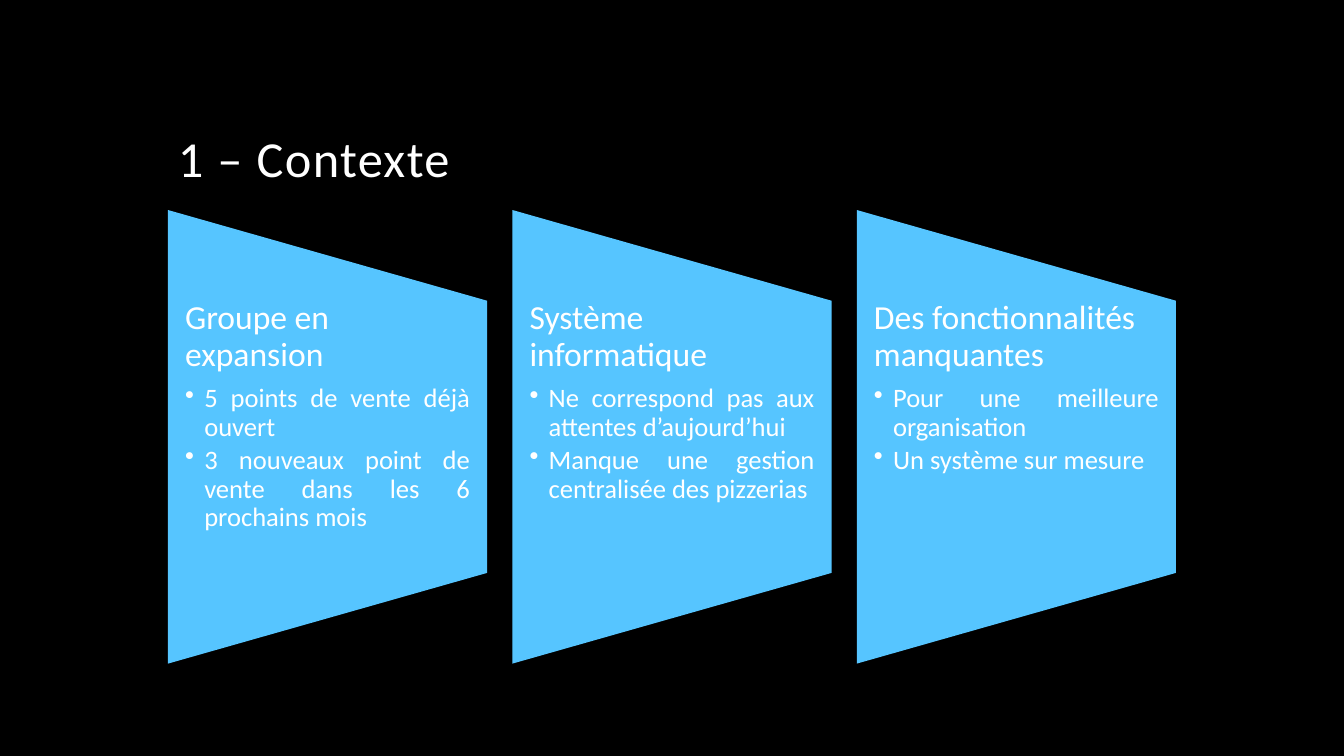
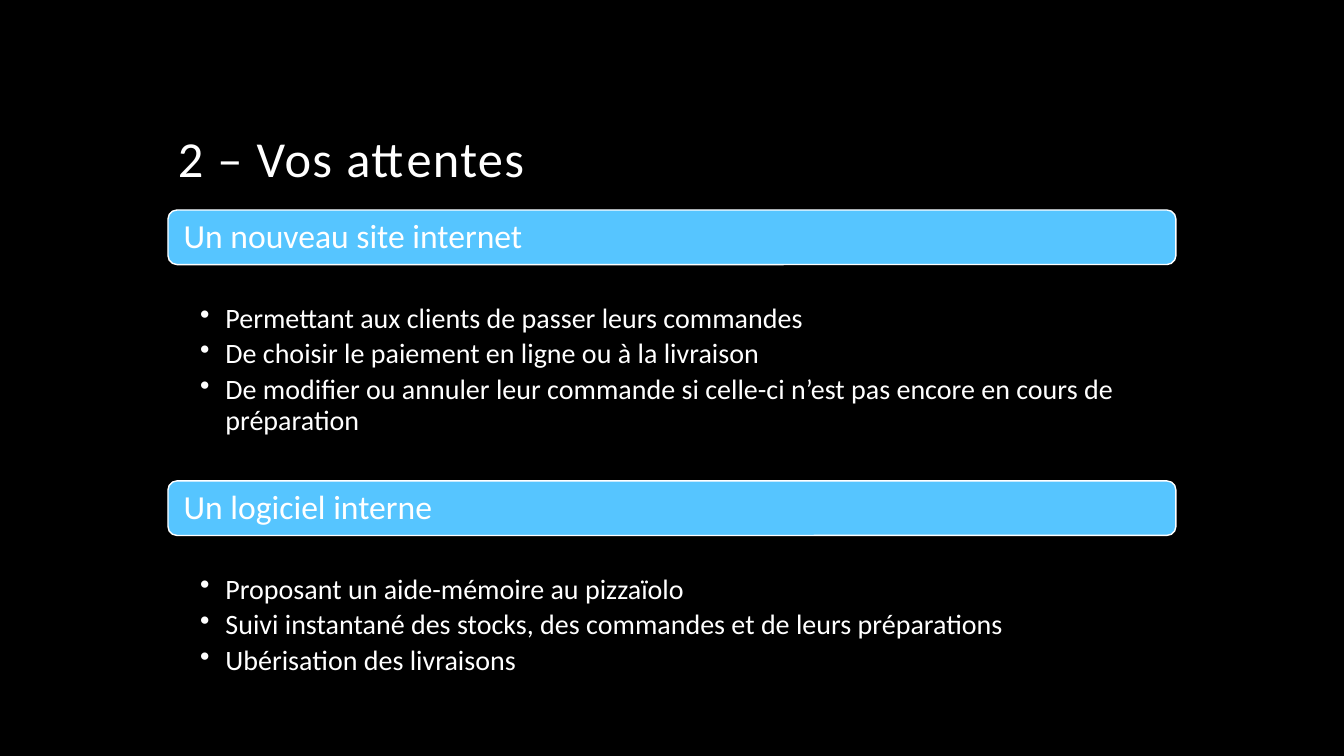
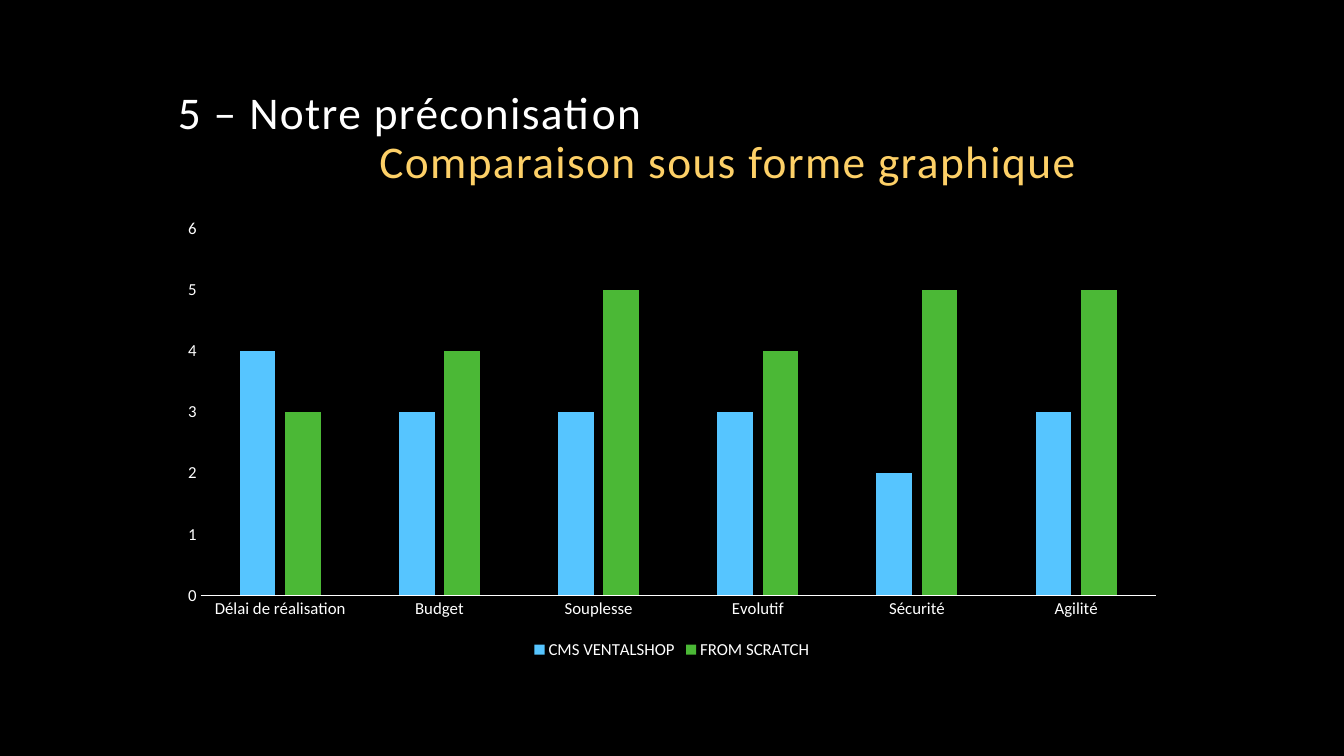
import pptx
import pptx.chart.data
import pptx.dml.color
import pptx.enum.chart
import pptx.enum.shapes
import pptx.enum.text
import pptx.oxml.ns
import pptx.util
from lxml import etree

FONT = "Calibri"
BLACK, WHITE, BLUE, GREEN, YELLOW = "000000", "FFFFFF", "56C5FF", "4BB836", "FDD067"
SLIDE_COLUMNS, SLIDE_ROWS = 160, 90
LEFT, WIDTH = 20, 120
TITLE_TOP, TITLE_HEIGHT = 5, 18
BODY_TOP, BODY_HEIGHT = 25, 54
ALIGN = pptx.enum.text.PP_ALIGN
ANCHOR = pptx.enum.text.MSO_ANCHOR
SHAPE = pptx.enum.shapes.MSO_SHAPE


def units(count):
    """Return the length of a number of grid units, twelve to the inch."""
    return pptx.util.Inches(count / 12)


def box(column, row, columns, rows):
    """Return left, top, width and height of a block of the grid."""
    return [units(count) for count in (column, row, columns, rows)]


def color(value):
    """Return a colour from a hex string."""
    return pptx.dml.color.RGBColor.from_string(value)


def style_font(font, size, value=WHITE):
    """Set typeface, size and colour of a font."""
    font.name = FONT
    font.size = pptx.util.Pt(size)
    font.color.rgb = color(value)


def add_slide(presentation):
    """Add a blank slide with a black background."""
    slide = presentation.slides.add_slide(presentation.slide_layouts[6])
    slide.background.fill.solid()
    slide.background.fill.fore_color.rgb = color(BLACK)
    return slide


def set_frame(shape, insets, anchor=ANCHOR.TOP):
    """Prepare a wrapping text frame with insets in inches."""
    frame = shape.text_frame
    frame.word_wrap = True
    frame.vertical_anchor = anchor
    (frame.margin_left, frame.margin_top,
     frame.margin_right, frame.margin_bottom) = map(pptx.util.Inches, insets)
    return frame


def write(paragraph, text, size, value=WHITE, after=0, align=ALIGN.LEFT):
    """Fill a paragraph and format its runs."""
    paragraph.text = text
    paragraph.alignment = align
    paragraph.line_spacing = 0.9
    paragraph.space_after = pptx.util.Pt(after)
    for run in paragraph.runs:
        style_font(run.font, size, value)


def indent(paragraph, left, first=0):
    """Indent a paragraph by lengths in inches."""
    properties = paragraph._p.get_or_add_pPr()
    properties.set("marL", str(pptx.util.Inches(left)))
    properties.set("indent", str(pptx.util.Inches(first)))
    return properties


def add_bullet(paragraph, hanging):
    """Give a paragraph a bullet with a hanging indent."""
    properties = indent(paragraph, hanging, -hanging)
    bullet = etree.SubElement(properties, pptx.oxml.ns.qn("a:buChar"))
    bullet.set("char", "•")


def add_title(slide, lines, size=36):
    """Add the title, whose further lines are yellow and indented."""
    textbox = slide.shapes.add_textbox(*box(LEFT, TITLE_TOP, WIDTH, TITLE_HEIGHT))
    frame = set_frame(textbox, (0.1, 0.05, 0.1, 0.05), ANCHOR.BOTTOM)
    for index, line in enumerate(lines):
        paragraph = frame.add_paragraph() if index else frame.paragraphs[0]
        write(paragraph, line, size, YELLOW if index else WHITE)
        if index:
            indent(paragraph, 2)
        for run in paragraph.runs:
            run.font._element.set("spc", "100")


def add_block(slide, kind, bounds, line=None):
    """Add a blue preset shape."""
    shape = slide.shapes.add_shape(kind, *bounds)
    shape.shadow.inherit = False
    shape.fill.solid()
    shape.fill.fore_color.rgb = color(BLUE)
    if line:
        shape.line.color.rgb = color(line)
        shape.line.width = pptx.util.Pt(1)
    else:
        shape.line.fill.background()
    return shape


def add_trapezoid(slide, column, width, heading, bullets):
    """Add a trapezoid lying on its side with a heading and bullets."""
    bounds = box(column + (width - BODY_HEIGHT) / 2, BODY_TOP + (BODY_HEIGHT - width) / 2,
                 BODY_HEIGHT, width)
    add_block(slide, SHAPE.FLOWCHART_MANUAL_OPERATION, bounds).rotation = 270
    margin = BODY_HEIGHT / 5
    textbox = slide.shapes.add_textbox(
        *box(column, BODY_TOP + margin, width, BODY_HEIGHT - 2 * margin))
    frame = set_frame(textbox, (0.17, 0, 0.17, 0))
    write(frame.paragraphs[0], heading, 24, after=8.4)
    for bullet in bullets:
        paragraph = frame.add_paragraph()
        write(paragraph, bullet, 19, after=2.85, align=ALIGN.JUSTIFY)
        add_bullet(paragraph, 0.19)


def add_section(slide, row, rows, heading, bullets):
    """Add a rounded heading band with bullets below it."""
    band_height = 6.5
    band = add_block(slide, SHAPE.ROUNDED_RECTANGLE, box(LEFT, row, WIDTH, band_height), WHITE)
    frame = set_frame(band, (0.13, 0, 0.13, 0), ANCHOR.MIDDLE)
    write(frame.paragraphs[0], heading, 24)
    textbox = slide.shapes.add_textbox(
        *box(LEFT, row + band_height, WIDTH, rows - band_height))
    frame = set_frame(textbox, (0.32, 0.39, 0.16, 0.03))
    for index, bullet in enumerate(bullets):
        paragraph = frame.add_paragraph() if index else frame.paragraphs[0]
        write(paragraph, bullet, 20, after=4)
        add_bullet(paragraph, 0.25)


def add_column_chart(slide, categories, series):
    """Add a clustered column chart from names, values and colours."""
    data = pptx.chart.data.CategoryChartData()
    data.categories = categories
    for name, values, _ in series:
        data.add_series(name, values)
    chart = slide.shapes.add_chart(
        pptx.enum.chart.XL_CHART_TYPE.COLUMN_CLUSTERED,
        *box(LEFT, BODY_TOP, WIDTH, BODY_HEIGHT), data).chart
    style_font(chart.font, 12)
    chart.has_title = False
    chart.has_legend = True
    chart.legend.position = pptx.enum.chart.XL_LEGEND_POSITION.BOTTOM
    chart.legend.include_in_layout = False
    style_font(chart.legend.font, 12)
    plot = chart.plots[0]
    plot.vary_by_categories = False
    plot.gap_width, plot.overlap = 219, -27
    for drawn, (_, _, value) in zip(plot.series, series):
        drawn.format.fill.solid()
        drawn.format.fill.fore_color.rgb = color(value)
    for axis in (chart.category_axis, chart.value_axis):
        axis.has_major_gridlines = False
        axis.major_tick_mark = pptx.enum.chart.XL_TICK_MARK.NONE
        style_font(axis.tick_labels.font, 12)
    chart.category_axis.format.line.color.rgb = color(WHITE)
    chart.category_axis.format.line.width = pptx.util.Pt(0.75)
    chart.value_axis.format.line.fill.background()
    chart.value_axis.minimum_scale, chart.value_axis.maximum_scale = 0, 6
    chart.value_axis.major_unit = 1


def add_context_slide(presentation):
    """Build the slide on the context."""
    slide = add_slide(presentation)
    add_title(slide, ["1 – Contexte"])
    topics = [
        ("Groupe en expansion",
         ["5 points de vente déjà ouvert",
          "3 nouveaux point de vente dans les 6 prochains mois"]),
        ("Système informatique",
         ["Ne correspond pas aux attentes d’aujourd’hui",
          "Manque une gestion centralisée des pizzerias"]),
        ("Des fonctionnalités manquantes",
         ["Pour une meilleure organisation", "Un système sur mesure"]),
    ]
    gap = 3
    width = (WIDTH - gap * (len(topics) - 1)) / len(topics)
    for index, (heading, bullets) in enumerate(topics):
        add_trapezoid(slide, LEFT + index * (width + gap), width, heading, bullets)


def add_expectations_slide(presentation):
    """Build the slide on the expectations."""
    slide = add_slide(presentation)
    add_title(slide, ["2 – Vos attentes"])
    sections = [
        ("Un nouveau site internet",
         ["Permettant aux clients de passer leurs commandes",
          "De choisir le paiement en ligne ou à la livraison",
          "De modifier ou annuler leur commande si celle-ci n’est pas encore "
          "en cours de préparation"]),
        ("Un logiciel interne",
         ["Proposant un aide-mémoire au pizzaïolo",
          "Suivi instantané des stocks, des commandes et de leurs préparations",
          "Ubérisation des livraisons"]),
    ]
    row = BODY_TOP
    for rows, (heading, bullets) in zip((32.25, 21.75), sections):
        add_section(slide, row, rows, heading, bullets)
        row += rows


def add_comparison_slide(presentation):
    """Build the slide with the comparison chart."""
    slide = add_slide(presentation)
    add_title(slide, ["5 – Notre préconisation", "Comparaison sous forme graphique"], 32.4)
    add_column_chart(
        slide,
        ["Délai de réalisation", "Budget", "Souplesse", "Evolutif", "Sécurité", "Agilité"],
        [("CMS VENTALSHOP", (4, 3, 3, 3, 2, 3), BLUE),
         ("FROM SCRATCH", (3, 4, 5, 4, 5, 5), GREEN)])


def main():
    """Build and save the presentation."""
    presentation = pptx.Presentation()
    presentation.slide_width = units(SLIDE_COLUMNS)
    presentation.slide_height = units(SLIDE_ROWS)
    add_context_slide(presentation)
    add_expectations_slide(presentation)
    add_comparison_slide(presentation)
    presentation.save("out.pptx")


if __name__ == "__main__":
    main()
